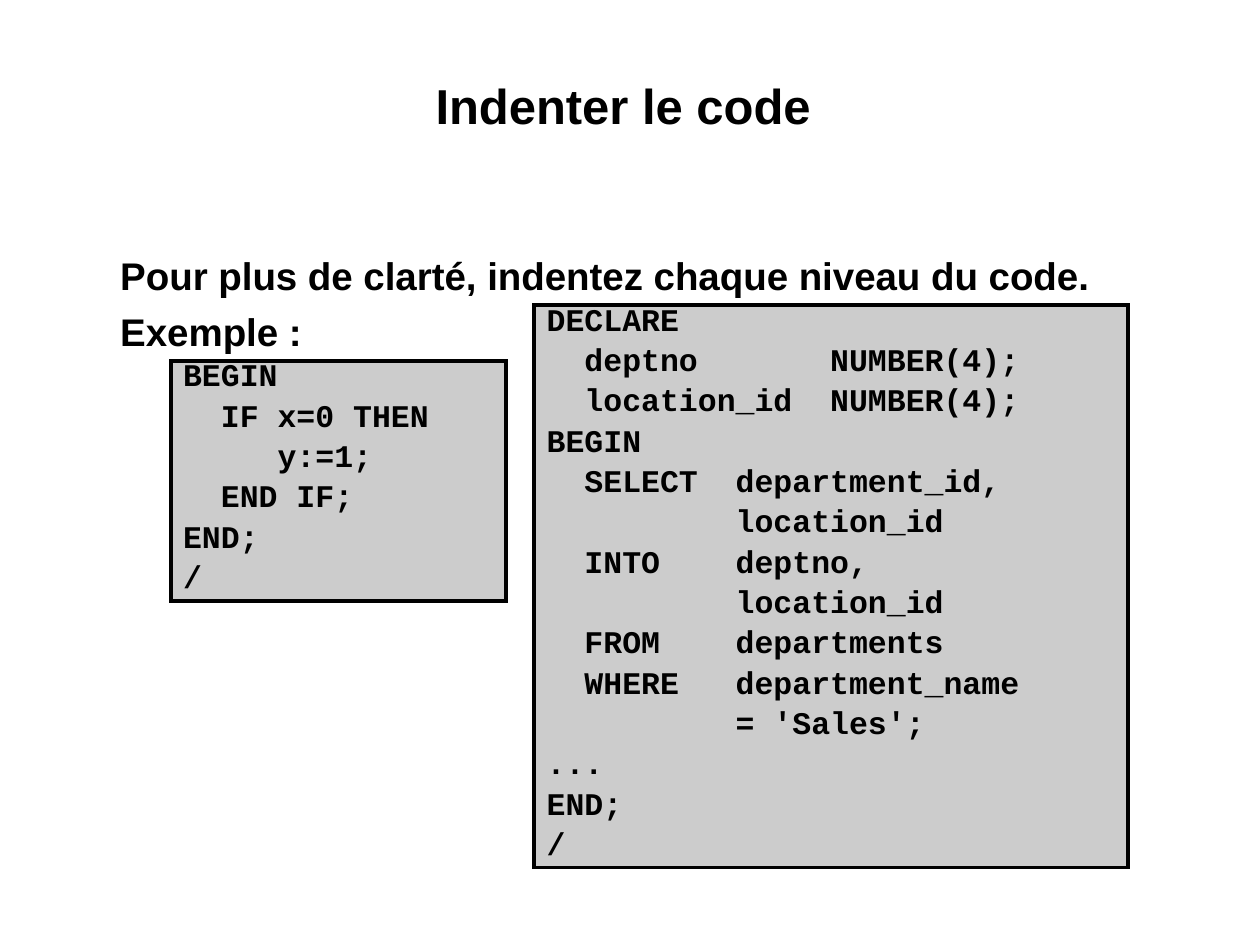
from dataclasses import dataclass

from lxml import etree
from pptx import Presentation
from pptx import util as u
from pptx.dml.color import RGBColor
from pptx.enum import shapes, text
from pptx.oxml.ns import qn

SLIDE_WIDTH, SLIDE_HEIGHT = 10, 7.5


@dataclass(frozen=True)
class Theme:
    ink: RGBColor = RGBColor(0, 0, 0)
    paper: RGBColor = RGBColor(0xFF, 0xFF, 0xFF)
    panel: RGBColor = RGBColor(0xCC, 0xCC, 0xCC)
    prose_font: str = "Arial"
    code_font: str = "Courier New"
    title_size: float = 28
    body_size: float = 22
    code_size: float = 18
    border: float = 2.25


THEME = Theme()

SHORT_BLOCK = """BEGIN
  IF x=0 THEN
     y:=1;
  END IF;
END;
/"""

LONG_BLOCK = """DECLARE
  deptno       NUMBER(4);
  location_id  NUMBER(4);
BEGIN
  SELECT\tdepartment_id,
         \tlocation_id
  INTO\t\tdeptno,
\t\t\tlocation_id
  FROM\t\tdepartments
  WHERE\tdepartment_name
          = 'Sales';
...
END;
/"""


def set_tabs(paragraph, step, count=7):
    """Add evenly spaced left tab stops."""
    tabs = etree.SubElement(paragraph._p.get_or_add_pPr(), qn("a:tabLst"))
    for index in range(1, count + 1):
        etree.SubElement(tabs, qn("a:tab"), pos=str(u.Inches(index * step)), algn="l")


def write(shape, content, *, font, size, align=text.PP_ALIGN.LEFT,
          gap=0, spacing=None, tab_step=None, margins=(0.01, 0.01)):
    """Write each line of content as one paragraph."""
    frame = shape.text_frame
    frame.word_wrap = True
    frame.vertical_anchor = text.MSO_ANCHOR.TOP
    frame.margin_left = frame.margin_right = u.Inches(margins[0])
    frame.margin_top = frame.margin_bottom = u.Inches(margins[1])
    for index, line in enumerate(content.split("\n")):
        paragraph = frame.add_paragraph() if index else frame.paragraphs[0]
        paragraph.alignment = align
        if spacing:
            paragraph.line_spacing = spacing
        if index:
            paragraph.space_before = u.Pt(gap)
        if tab_step:
            set_tabs(paragraph, tab_step)
        run = paragraph.add_run()
        run.text = line
        run.font.name, run.font.size, run.font.bold = font, u.Pt(size), True
        run.font.color.rgb = THEME.ink


def place(box):
    """Turn percentages of the slide's size into lengths."""
    sides = (SLIDE_WIDTH, SLIDE_HEIGHT, SLIDE_WIDTH, SLIDE_HEIGHT)
    return [u.Inches(share * side / 100) for share, side in zip(box, sides)]


def add_prose(slide, box, content, **style):
    write(slide.shapes.add_textbox(*place(box)), content,
          font=THEME.prose_font, **style)


def add_code_panel(slide, box, code, tab_step):
    panel = slide.shapes.add_shape(shapes.MSO_SHAPE.RECTANGLE, *place(box))
    panel.shadow.inherit = False
    panel.fill.solid()
    panel.fill.fore_color.rgb = THEME.panel
    panel.line.color.rgb = THEME.ink
    panel.line.width = u.Pt(THEME.border)
    # Square corners on the border
    outline = panel._element.spPr.find(qn("a:ln"))
    etree.SubElement(outline, qn("a:miter"), lim="800000")
    write(panel, code, font=THEME.code_font, size=THEME.code_size,
          gap=9, spacing=0.65, tab_step=tab_step, margins=(0.1, 0.05))


def main():
    presentation = Presentation()
    presentation.slide_width = u.Inches(SLIDE_WIDTH)
    presentation.slide_height = u.Inches(SLIDE_HEIGHT)
    slide = presentation.slides.add_slide(presentation.slide_layouts[6])
    slide.background.fill.solid()
    slide.background.fill.fore_color.rgb = THEME.paper

    # Title
    add_prose(slide, (10, 7.9, 80, 12.8), "Indenter le code ",
              size=THEME.title_size, align=text.PP_ALIGN.CENTER)
    # Advice
    add_prose(slide, (9.45, 26.55, 80.6, 11.2),
              "Pour plus de clarté, indentez chaque niveau du code.\nExemple :",
              size=THEME.body_size, gap=5.5)
    # Code examples
    add_code_panel(slide, (13.55, 38.2, 26.6, 25.4), SHORT_BLOCK, tab_step=1)
    add_code_panel(slide, (42.4, 32.3, 47.1, 59.5), LONG_BLOCK, tab_step=0.5)

    presentation.save("out.pptx")


if __name__ == "__main__":
    main()
